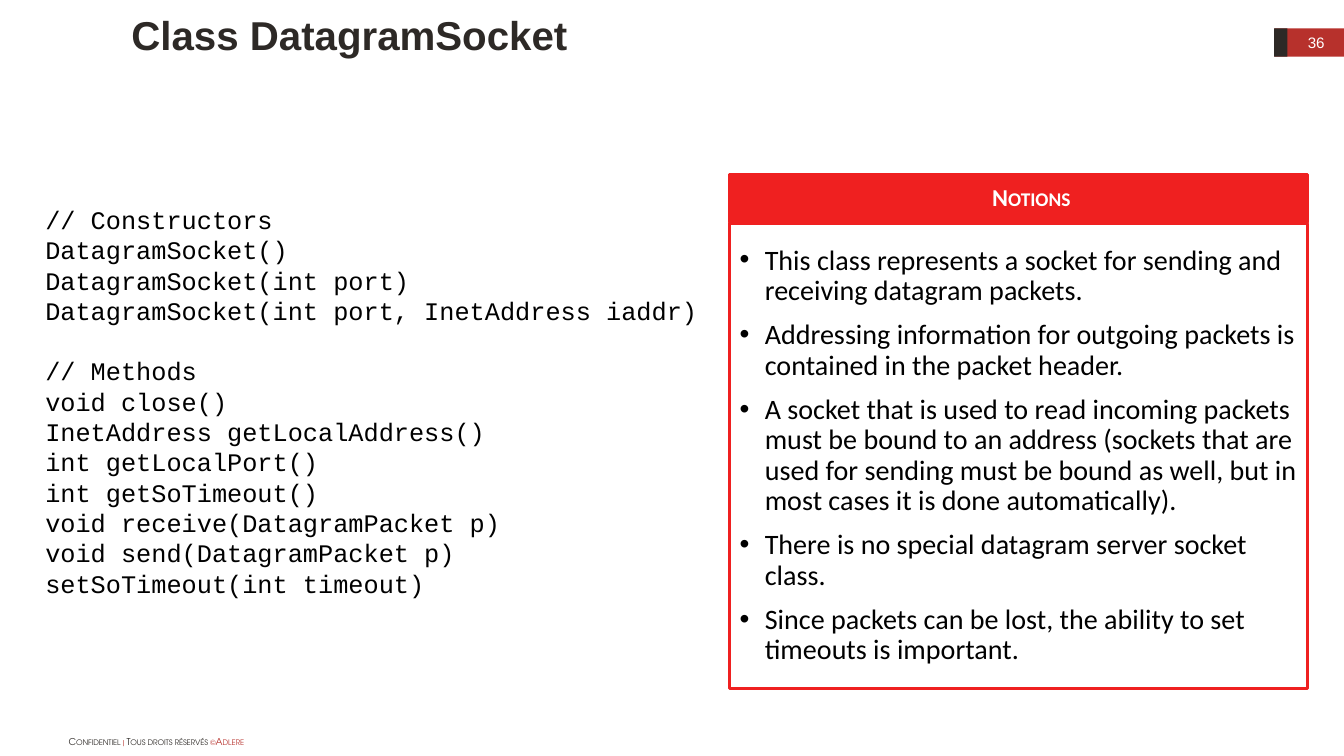
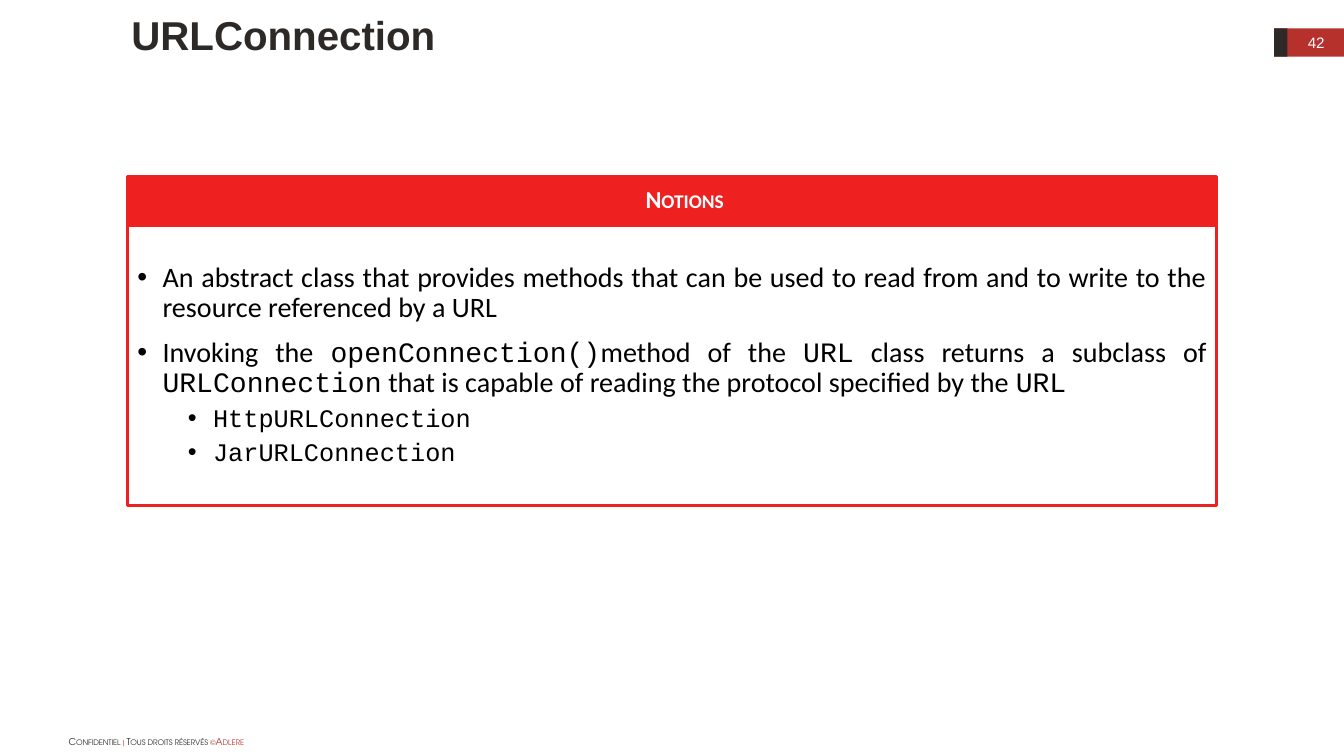
from pptx import Presentation
from pptx.dml.color import RGBColor
from pptx.enum.shapes import MSO_SHAPE
from pptx.enum.text import MSO_ANCHOR, MSO_AUTO_SIZE, PP_ALIGN
from pptx.oxml.ns import qn
from pptx.util import Inches, Pt
from lxml import etree

# Colours and fonts
DARK = RGBColor(0x2D, 0x29, 0x26)
BRICK = RGBColor(0xB7, 0x31, 0x2C)
RED = RGBColor(0xEF, 0x20, 0x20)
WHITE = RGBColor(0xFF, 0xFF, 0xFF)
BLACK = RGBColor(0x00, 0x00, 0x00)
HEADING_FONT = "Arial"
BODY_FONT = "Calibri"
CODE_FONT = "Courier New"
FOOTER_FONT = "TeX Gyre Adventor"

# Shared sizes
HEADER_HEIGHT = 0.47
BODY_OFFSET = 0.48
CODE_SIZE = 18
CODE_LINE = 21.6

FOOTER = [
    ("Confidentiel ", DARK),
    ("| ", BRICK),
    ("Tous droits réservés ", DARK),
    ("©Adlere", BRICK),
]

# Code groups, set apart by one line
CODE_GROUPS = [
    [
        "// Constructors",
        "DatagramSocket()",
        "DatagramSocket(int port)",
        "DatagramSocket(int port, InetAddress iaddr)",
    ],
    [
        "// Methods",
        "void close()",
        "InetAddress getLocalAddress()",
        "int getLocalPort()",
        "int getSoTimeout()",
        "void receive(DatagramPacket p)",
        "void send(DatagramPacket p)",
        "setSoTimeout(int timeout)",
    ],
]

# Bullets: level and runs of (text, font)
SOCKET_BULLETS = [
    (0, [(text, BODY_FONT)])
    for text in (
        "This class represents a socket for sending and receiving datagram packets.",
        "Addressing information for outgoing packets is contained in the packet header.",
        "A socket that is used to read incoming packets must be bound to an address "
        "(sockets that are used for sending must be bound as well, but in most cases "
        "it is done automatically).",
        "There is no special datagram server socket class.",
        "Since packets can be lost, the ability to set timeouts is important.",
    )
]
CONNECTION_BULLETS = [
    (0, [("An abstract class that provides methods that can be used to read from "
          "and to write to the resource referenced by a URL", BODY_FONT)]),
    (0, [
        ("Invoking the ", BODY_FONT),
        ("openConnection()", CODE_FONT),
        ("method of the ", BODY_FONT),
        ("URL", CODE_FONT),
        (" class returns a subclass of ", BODY_FONT),
        ("URLConnection", CODE_FONT),
        (" that is capable of reading the protocol specified by the ", BODY_FONT),
        ("URL", CODE_FONT),
    ]),
    (1, [("HttpURLConnection", CODE_FONT)]),
    (1, [("JarURLConnection", CODE_FONT)]),
]


def add_run(paragraph, text, font, size, color, bold=False, small_caps=False):
    run = paragraph.add_run()
    run.text = text
    run.font.name = font
    run.font.size = Pt(size)
    run.font.bold = bold
    run.font.color.rgb = color
    if small_caps:
        run._r.get_or_add_rPr().set("cap", "small")


def add_rectangle(slide, left, top, width, height, fill, line=None):
    shape = slide.shapes.add_shape(
        MSO_SHAPE.RECTANGLE, Inches(left), Inches(top), Inches(width), Inches(height))
    shape.shadow.inherit = False
    shape.fill.solid()
    shape.fill.fore_color.rgb = fill
    if line is None:
        shape.line.fill.background()
    else:
        shape.line.color.rgb = line
        shape.line.width = Pt(2)
    return shape


def add_text_frame(slide, left, top, width, height, wrap=True):
    box = slide.shapes.add_textbox(
        Inches(left), Inches(top), Inches(width), Inches(height))
    box.text_frame.word_wrap = wrap
    return box.text_frame


def set_insets(frame, left, top, right, bottom):
    frame.margin_left, frame.margin_top = Inches(left), Inches(top)
    frame.margin_right, frame.margin_bottom = Inches(right), Inches(bottom)


def next_paragraph(frame, index):
    return frame.add_paragraph() if index else frame.paragraphs[0]


def set_bullet(paragraph, level):
    paragraph.level = level
    properties = paragraph._p.get_or_add_pPr()
    properties.set("marL", str(Inches(0.25 + 0.5 * level)))
    properties.set("indent", str(Inches(-0.25)))
    etree.SubElement(properties, qn("a:buFont")).set("typeface", "Arial")
    etree.SubElement(properties, qn("a:buChar")).set("char", "•")


def add_base_slide(presentation, title, number):
    """Slide with its page band, footer, title and number."""
    slide = presentation.slides.add_slide(presentation.slide_layouts[5])
    add_rectangle(slide, 12.61, 0.28, 0.69, 0.28, BRICK)
    add_rectangle(slide, 12.61, 0.28, 0.13, 0.28, DARK)

    footer = add_text_frame(slide, 0.58, 7.23, 3.15, 0.21)
    for text, color in FOOTER:
        add_run(footer.paragraphs[0], text, FOOTER_FONT, 6.7, color, small_caps=True)

    placeholder = slide.shapes.title
    placeholder.left, placeholder.top = Inches(1.2), Inches(0.16)
    placeholder.width, placeholder.height = Inches(11.05), Inches(0.47)
    frame = placeholder.text_frame
    frame.auto_size = MSO_AUTO_SIZE.NONE
    frame.vertical_anchor = MSO_ANCHOR.BOTTOM
    frame.paragraphs[0].alignment = PP_ALIGN.LEFT
    add_run(frame.paragraphs[0], title, HEADING_FONT, 28.7, DARK, bold=True)

    frame = add_text_frame(slide, 12.75, 0.28, 0.55, 0.28)
    frame.vertical_anchor = MSO_ANCHOR.MIDDLE
    frame.paragraphs[0].alignment = PP_ALIGN.CENTER
    add_run(frame.paragraphs[0], str(number), HEADING_FONT, 10.8, WHITE)
    return slide


def add_notions_panel(slide, left, top, width, body_height, bullets, alignment):
    """Red header bar above a framed bullet list."""
    header = add_rectangle(slide, left, top, width, HEADER_HEIGHT, RED, RED).text_frame
    set_insets(header, 0.35, 0, 0.1, 0)
    header.vertical_anchor = MSO_ANCHOR.MIDDLE
    paragraph = header.paragraphs[0]
    paragraph.alignment = PP_ALIGN.CENTER
    paragraph.line_spacing = 0.9
    add_run(paragraph, "Notions", BODY_FONT, 17.3, WHITE, bold=True, small_caps=True)

    body = add_rectangle(
        slide, left, top + BODY_OFFSET, width, body_height, WHITE, RED).text_frame
    set_insets(body, 0.1, 0.1, 0.1, 0.1)
    body.word_wrap = True
    body.vertical_anchor = MSO_ANCHOR.MIDDLE
    for index, (level, runs) in enumerate(bullets):
        paragraph = next_paragraph(body, index)
        set_bullet(paragraph, level)
        paragraph.alignment = alignment
        paragraph.line_spacing = 0.9
        if index:
            paragraph.space_before = Pt(5 if level else 10)
        for text, font in runs:
            add_run(paragraph, text, font, 18 if level else 20, BLACK)


def add_code(slide, left, top, width, height, groups):
    frame = add_text_frame(slide, left, top, width, height, wrap=False)
    index = 0
    for group in groups:
        for position, line in enumerate(group):
            paragraph = next_paragraph(frame, index)
            if index and position == 0:
                paragraph.space_before = Pt(CODE_LINE)
            add_run(paragraph, line, CODE_FONT, CODE_SIZE, BLACK)
            index += 1


def main():
    presentation = Presentation()
    presentation.slide_width = Inches(13.3)
    presentation.slide_height = Inches(7.48)

    # Datagram sockets
    slide = add_base_slide(presentation, "Class DatagramSocket", 36)
    add_notions_panel(slide, 7.22, 1.73, 5.72, 4.6, SOCKET_BULLETS, PP_ALIGN.LEFT)
    add_code(slide, 0.35, 1.97, 6.77, 4.01, CODE_GROUPS)

    # URL connections
    slide = add_base_slide(presentation, "URLConnection", 42)
    add_notions_panel(
        slide, 1.26, 1.75, 10.78, 2.77, CONNECTION_BULLETS, PP_ALIGN.JUSTIFY)

    presentation.save("out.pptx")


if __name__ == "__main__":
    main()
